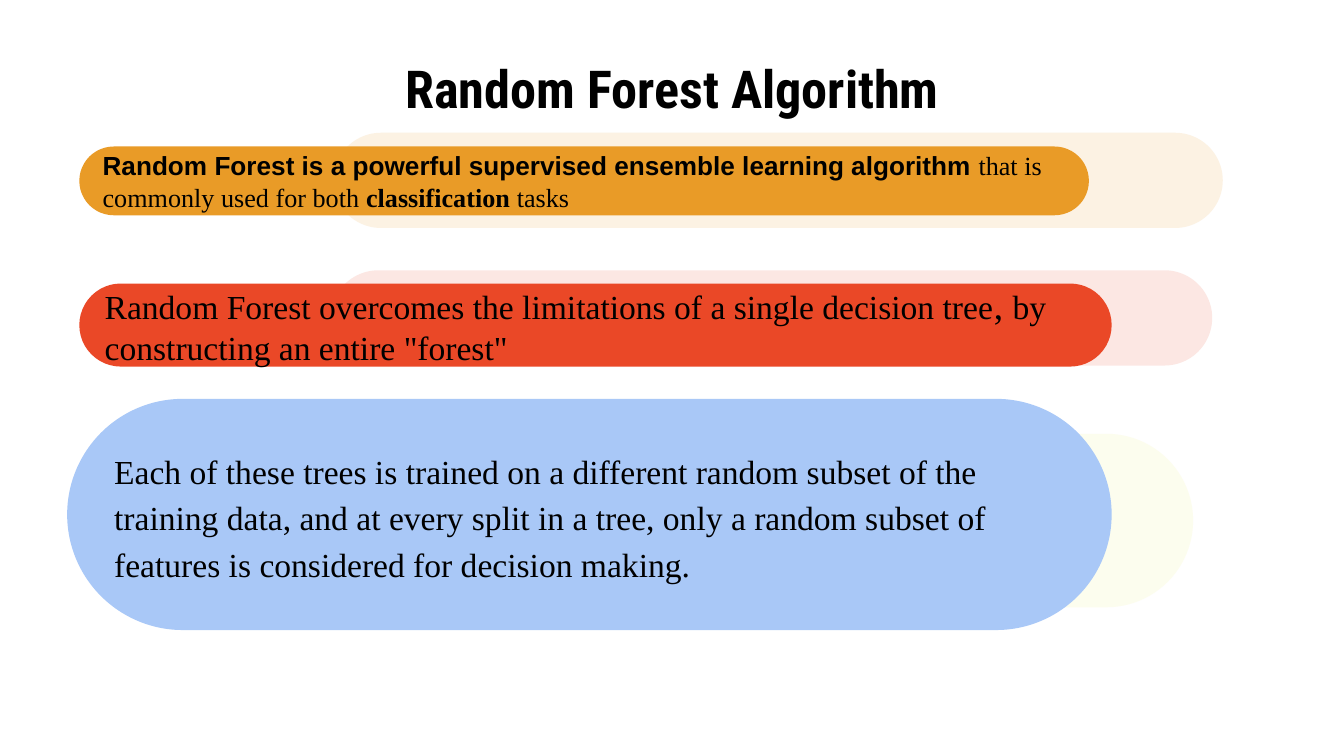
from lxml import etree
from pptx import Presentation
from pptx.dml.color import RGBColor
from pptx.enum.shapes import MSO_SHAPE
from pptx.enum.text import MSO_ANCHOR, PP_ALIGN
from pptx.oxml.ns import qn
from pptx.util import Cm, Pt

PILL = MSO_SHAPE.ROUNDED_RECTANGLE
MIDDLE = MSO_ANCHOR.MIDDLE
LEFT, CENTER = PP_ALIGN.LEFT, PP_ALIGN.CENTER

COLORS = {
    "text": "000000",
    "orange": "E99B27",
    "red": "EA4827",
    "yellow": "EFF27D",
    "blue": "A9C8F7",
}
TITLE_FONT = "Roboto Condensed"
SANS = "Arial"
SERIF = "Times New Roman"
HALO_ALPHA = 13

# Each run is (text, font, size, bold).
DEFINITION = [
    ("Random Forest is a powerful supervised ensemble learning algorithm", SANS, 14, True),
    (" that is commonly used for both ", SERIF, 14, False),
    ("classification", SERIF, 14, True),
    (" tasks", SERIF, 14, False),
]
ADVANTAGE = [
    ("Random Forest overcomes the limitations of a single decision tree", SERIF, 18, False),
    (", ", SERIF, 20, False),
    ('by constructing an entire "forest"', SERIF, 18, False),
]
TRAINING = [
    ("Each of these trees is trained on a different random subset of the "
     "training data, and at every split in a tree, only a random subset of "
     "features is considered for decision making.", SERIF, 18, False),
]

# Halo colour and box, pill colour and box, runs, line spacing; boxes in cm.
POINTS = [
    ("orange", (6.3, 2.51, 16.81, 1.8), "orange", (1.5, 2.77, 19.08, 1.3), DEFINITION, 1),
    ("yellow", (5.99, 8.2, 16.56, 3.28), "blue", (1.27, 7.54, 19.74, 4.37), TRAINING, 1.15),
    ("red", (6.25, 5.11, 16.66, 1.8), "red", (1.5, 5.36, 19.51, 1.57), ADVANTAGE, 1),
]


def rgb(name):
    return RGBColor.from_string(COLORS[name])


def write_text(sp, runs, align=LEFT, spacing=1):
    tf = sp.text_frame
    tf.word_wrap = True
    tf.vertical_anchor = MIDDLE
    tf.margin_left = tf.margin_right = Cm(0.25)
    tf.margin_top = tf.margin_bottom = Cm(0.25)
    p = tf.paragraphs[0]
    p.alignment = align
    p.line_spacing = spacing
    for text, font, size, bold in runs:
        r = p.add_run()
        r.text = text
        r.font.name = font
        r.font.size = Pt(size)
        r.font.bold = bold
        r.font.color.rgb = rgb("text")


def add_title(s, text):
    sp = s.shapes.add_textbox(Cm(1.27), Cm(1.14), Cm(22.86), Cm(1.04))
    write_text(sp, [(text, TITLE_FONT, 28, True)], CENTER)


def add_pill(s, box, color):
    sp = s.shapes.add_shape(PILL, *map(Cm, box))
    sp.adjustments[0] = 0.5
    sp.shadow.inherit = False
    sp.fill.solid()
    sp.fill.fore_color.rgb = rgb(color)
    sp.line.fill.background()
    return sp


def add_halo(s, box, color):
    """Add a mostly transparent pill that sits behind a text pill."""
    sp = add_pill(s, box, color)
    clr = sp._element.spPr.find(qn("a:solidFill")).find(qn("a:srgbClr"))
    etree.SubElement(clr, qn("a:alpha"), val=str(HALO_ALPHA * 1000))


def main():
    prs = Presentation()
    prs.slide_width, prs.slide_height = Cm(25.4), Cm(14.29)
    s = prs.slides.add_slide(prs.slide_layouts[6])
    add_title(s, "Random Forest Algorithm")
    for halo_color, halo_box, color, box, runs, spacing in POINTS:
        add_halo(s, halo_box, halo_color)
        write_text(add_pill(s, box, color), runs, spacing=spacing)
    prs.save("out.pptx")


if __name__ == "__main__":
    main()
